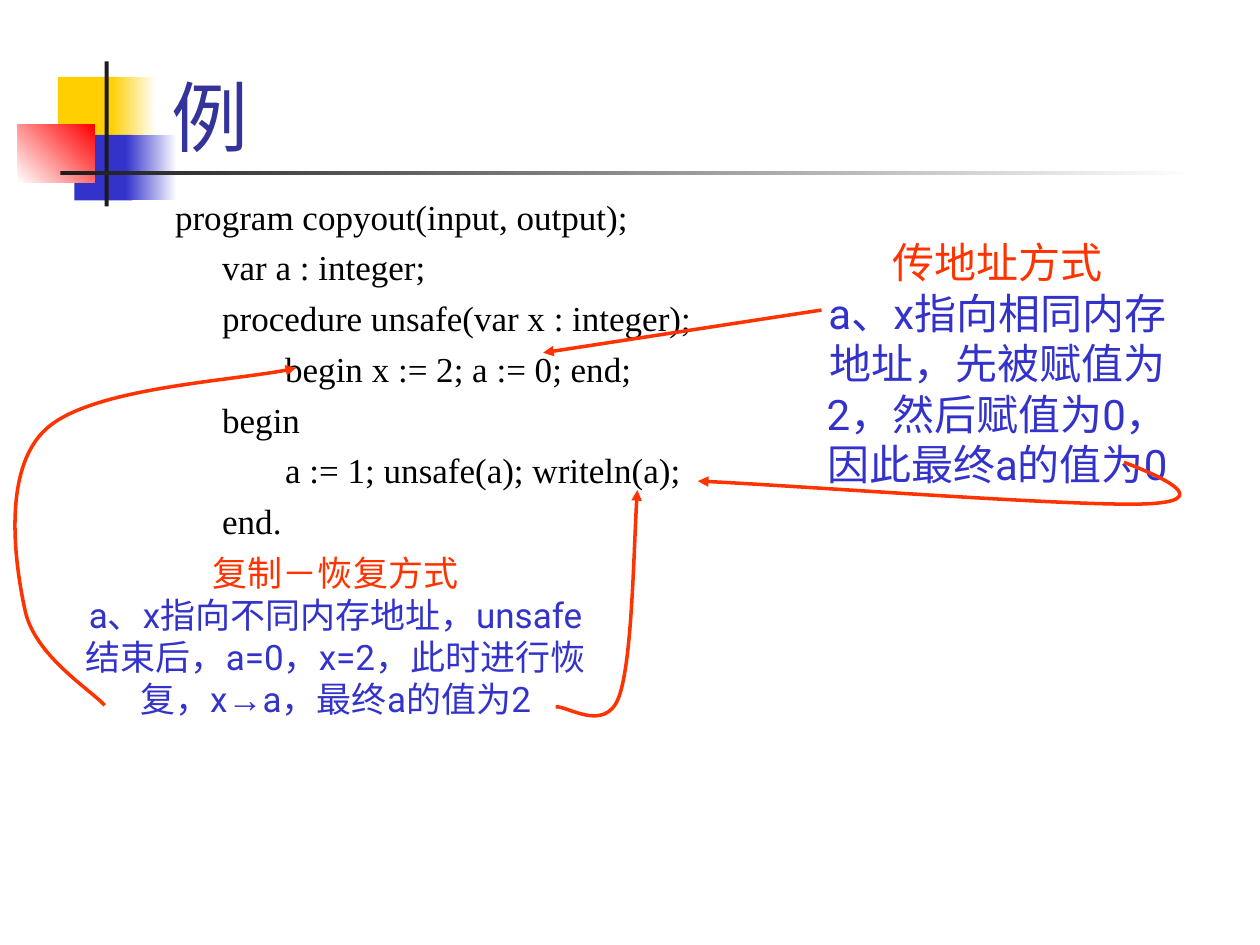
from dataclasses import dataclass

from lxml import etree
from pptx import Presentation
from pptx.dml.color import RGBColor
from pptx.enum import shapes, text
from pptx.oxml import ns
from pptx.util import Cm, Pt


@dataclass(frozen=True)
class Theme:
    yellow: str = "FFCF01"
    blue: str = "3333CC"
    red: str = "FF0000"
    white: str = "FFFFFF"
    dark: str = "1C1C1C"
    black: str = "000000"
    title: str = "333399"
    accent: str = "FF3300"
    serif: str = "Times New Roman"
    sans: str = "Roboto"
    symbol: str = "Arial"
    title_size: int = 44
    large_size: int = 24
    body_size: int = 20
    line_width: int = 2


THEME = Theme()

presentation = Presentation()
presentation.slide_width, presentation.slide_height = Cm(25.4), Cm(19.05)
slide = presentation.slides.add_slide(presentation.slide_layouts[6])


def add_text(box, lines, size, color, font):
    """Add a wrapping text box with one paragraph per line and return its shape."""
    shape = slide.shapes.add_textbox(*map(Cm, box))
    shape.text_frame.word_wrap = True
    shape.text_frame.text = "\n".join(lines)
    for paragraph in shape.text_frame.paragraphs:
        for run in paragraph.runs:
            run.font.size, run.font.name = Pt(size), font
            run.font.color.rgb = RGBColor.from_string(color)
    return shape


def style_arrow(arrow):
    arrow.line.color.rgb = RGBColor.from_string(THEME.accent)
    arrow.line.width = Pt(THEME.line_width)
    etree.SubElement(arrow.line._get_or_add_ln(), ns.qn("a:tailEnd"), type="triangle")
    etree.SubElement(arrow._element.spPr, ns.qn("a:effectLst"))


# Corner ornament: box, colours (two make a gradient), gradient angle
ornament = [
    ((1.17, 1.55, 1.22, 1.32), [THEME.yellow], 0),
    ((2.24, 1.55, 0.91, 1.32), [THEME.yellow, THEME.white], 0),
    ((1.5, 2.72, 1.17, 1.32), [THEME.blue], 0),
    ((2.54, 2.72, 1.02, 1.32), [THEME.blue, THEME.white], 0),
    ((0.36, 2.51, 1.55, 1.17), [THEME.white, THEME.red], 45),
    ((2.11, 1.24, 0.08, 2.92), [THEME.dark], 0),
    ((1.22, 3.45, 22.86, 0.08), [THEME.dark, THEME.white], 0),
]
for box, colors, angle in ornament:
    shape = slide.shapes.add_shape(shapes.MSO_SHAPE.RECTANGLE, *map(Cm, box))
    shape.shadow.inherit = False
    shape.line.fill.background()
    if len(colors) == 1:
        shape.fill.solid()
        shape.fill.fore_color.rgb = RGBColor.from_string(colors[0])
    else:
        shape.fill.gradient()
        shape.fill.gradient_angle = angle
        for stop, color in zip(shape.fill.gradient_stops, colors):
            stop.color.rgb = RGBColor.from_string(color)

title = add_text((3.2, 0.2, 21.64, 3.18), ["例"], THEME.title_size, THEME.title, THEME.serif)
title.text_frame.vertical_anchor = text.MSO_ANCHOR.BOTTOM

code_lines = [
    "program copyout(input, output);",
    "\tvar a : integer;",
    "\tprocedure unsafe(var x : integer);",
    "\t\tbegin x := 2; a := 0; end;",
    "\tbegin",
    "\t\ta := 1; unsafe(a); writeln(a);",
    "\tend.",
]
code = add_text((3.28, 3.81, 21.59, 13.13), code_lines,
                THEME.body_size, THEME.black, THEME.serif)
for paragraph in code.text_frame.paragraphs:
    paragraph.space_before = Pt(5)
    properties = paragraph._p.get_or_add_pPr()
    properties.set("marL", str(Cm(0.95)))
    properties.set("indent", str(-Cm(0.95)))
    tabs = etree.SubElement(properties, ns.qn("a:tabLst"))
    for number in range(8):
        etree.SubElement(tabs, ns.qn("a:tab"), pos=str(Cm(2.54 * number)), algn="l")

# Notes: box, type size, space before, heading, runs with their fonts
notes = [
    ((16.08, 4.65, 8.05, 5.33), THEME.large_size, 15, "传地址方式",
     [("a、x指向相同内存地址，先被赋值为2，然后赋值为0，因此最终a的值为0", THEME.sans)]),
    ((1.47, 11, 10.59, 4.5), THEME.body_size, 12.5, "复制－恢复方式",
     [("a、x指向不同内存地址，unsafe结束后，a=0，x=2，此时进行恢复，x", THEME.sans),
      ("→", THEME.symbol),
      ("a，最终a的值为2", THEME.sans)]),
]
for box, size, space, heading, pieces in notes:
    note = add_text(box, [heading + "\v"], size, THEME.accent, THEME.sans)
    note.text_frame.auto_size = text.MSO_AUTO_SIZE.SHAPE_TO_FIT_TEXT
    paragraph = note.text_frame.paragraphs[0]
    paragraph.alignment = text.PP_ALIGN.CENTER
    paragraph.space_before = Pt(space)
    for words, font in pieces:
        run = paragraph.add_run()
        run.text = words
        run.font.size, run.font.name = Pt(size), font
        run.font.color.rgb = RGBColor.from_string(THEME.blue)

straight_arrow = slide.shapes.add_connector(
    shapes.MSO_CONNECTOR.STRAIGHT, Cm(16.56), Cm(6.25), Cm(10.95), Cm(7.11))
style_arrow(straight_arrow)

# Curved arrows: a start point, then three Bézier points per segment
curves = [
    [(22.66, 9.32), (23.47, 9.63), (24.51, 10.11), (23.06, 10.16),
     (21.64, 10.21), (15.95, 9.78), (14.07, 9.7)],
    [(2.11, 14.22), (1.85, 13.92), (0.71, 13.23), (0.51, 12.32),
     (0.3, 11.38), (0.03, 9.45), (0.94, 8.64),
     (1.85, 7.82), (4.93, 7.67), (5.97, 7.42)],
    [(11.2, 14.25), (11.43, 14.22), (12.19, 14.78), (12.47, 14.07),
     (12.75, 13.34), (12.78, 10.74), (12.85, 9.88)],
]
for curve in curves:
    start, *points = [(Cm(x), Cm(y)) for x, y in curve]
    builder = slide.shapes.build_freeform(*start)
    builder.add_line_segments(points, close=False)
    curved_arrow = builder.convert_to_shape()
    curved_arrow.fill.background()
    style_arrow(curved_arrow)
    # The builder only makes straight segments: merge each three into one curve
    segments = list(curved_arrow._element.iter(ns.qn("a:lnTo")))
    outline = segments[0].getparent()
    for first in range(0, len(segments), 3):
        bezier = etree.SubElement(outline, ns.qn("a:cubicBezTo"))
        for segment in segments[first:first + 3]:
            bezier.append(segment[0])
            outline.remove(segment)

presentation.save("out.pptx")
